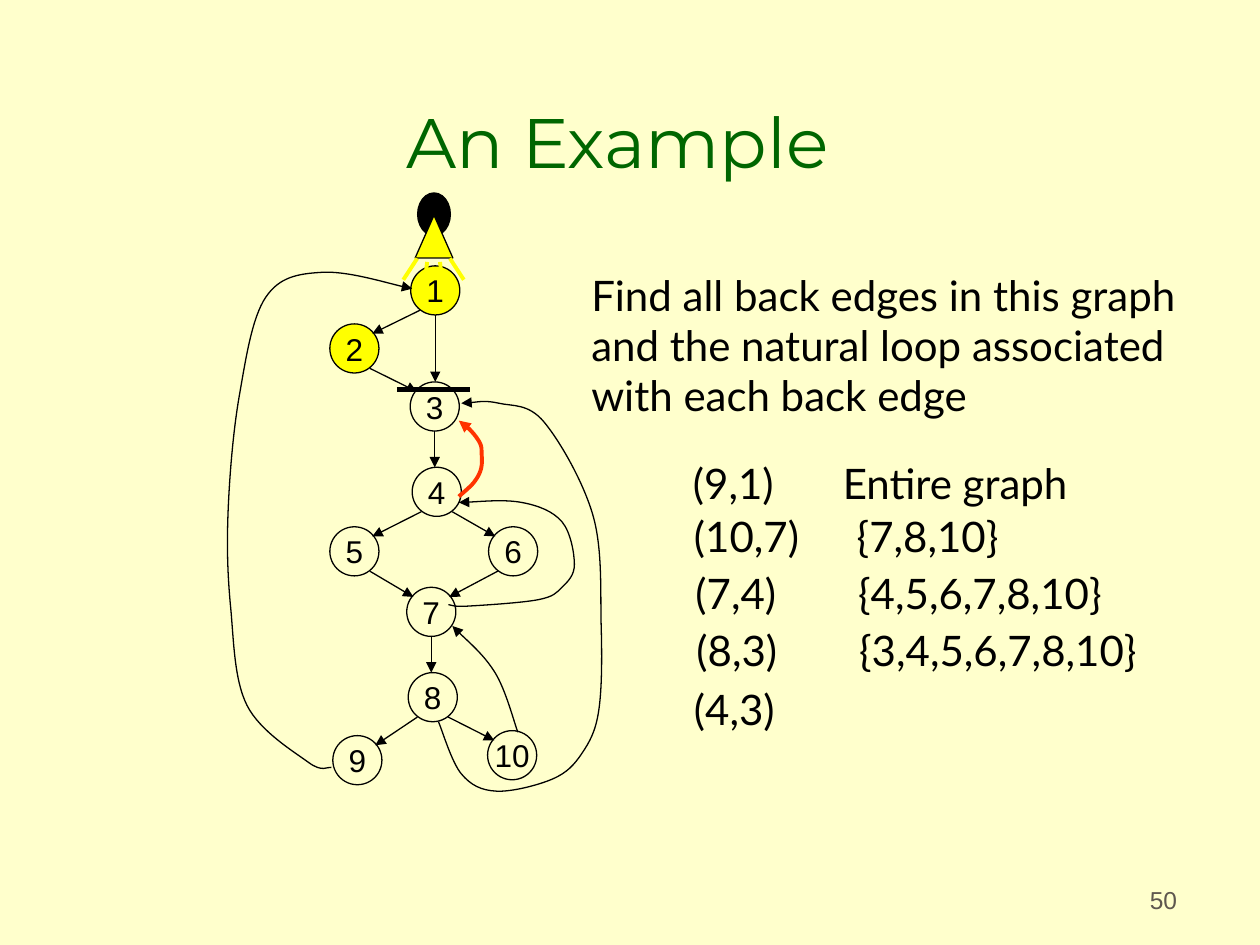
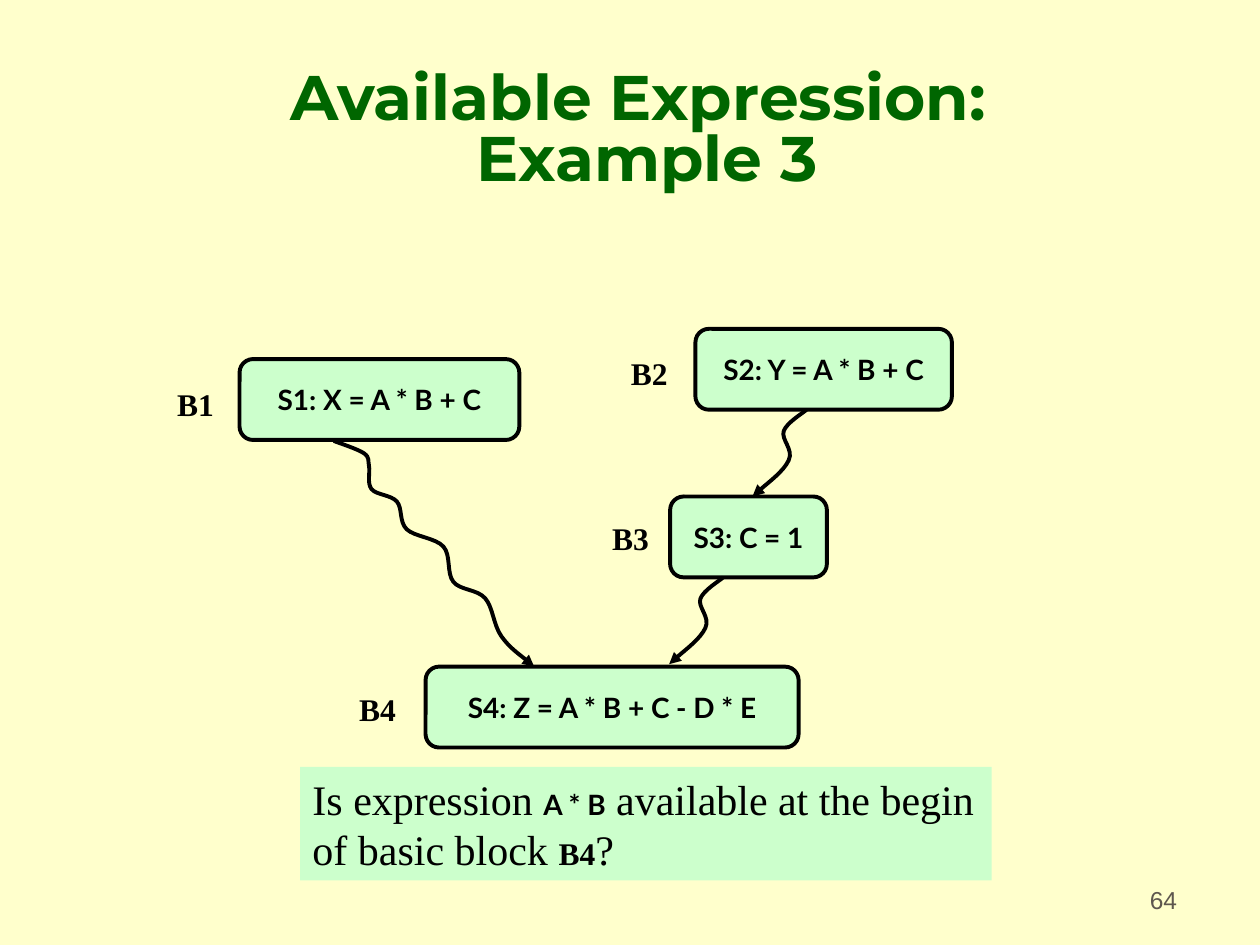
from copy import deepcopy
from dataclasses import dataclass

from lxml.etree import SubElement
from pptx import Presentation
from pptx.dml.color import RGBColor as RGB
from pptx.enum.shapes import MSO_CONNECTOR as CONN, MSO_SHAPE as SHP
from pptx.enum.text import MSO_ANCHOR as ANC, MSO_AUTO_SIZE as FIT, PP_ALIGN as AL
from pptx.oxml.ns import qn
from pptx.util import Cm, Pt


@dataclass(frozen=True)
class Theme:
    paper: RGB = RGB(0xFF, 0xFF, 0xCC)
    green: RGB = RGB(0x00, 0x66, 0x00)
    mint: RGB = RGB(0xCC, 0xFF, 0xCC)
    yellow: RGB = RGB(0xFF, 0xFF, 0x00)
    red: RGB = RGB(0xFF, 0x33, 0x00)
    black: RGB = RGB(0x00, 0x00, 0x00)
    grey: RGB = RGB(0x5E, 0x57, 0x4E)
    thin: float = 0.75
    thick: float = 2.25
    bar: float = 3

    def style(self, name, size, bold=False, color=None):
        return {"name": name, "size": Pt(size), "bold": bold, "color": color or self.black}


T = Theme()
TITLE = T.style("Montserrat", 40, color=T.green)
TITLE_BOLD = T.style("Montserrat", 36, True, T.green)
NUMBER = T.style("Arial", 14, color=T.grey)
NODE = T.style("Arial", 18)
BODY = T.style("Lato", 24)
CODE = T.style("Lato", 16, True)
QUESTION = T.style("Times New Roman", 24)
LABEL = T.style("Times New Roman", 18, True)

NODE_SIZE = 0.99
NODES = {
    "1": (8.28, 5.36), "2": (6.65, 6.53), "3": (8.27, 7.7), "4": (8.31, 9.42),
    "5": (6.65, 10.62), "6": (9.85, 10.62), "7": (8.2, 11.84), "8": (8.23, 13.56),
    "9": (6.71, 14.83), "10": (9.83, 14.73),
}
VISITED = {"1", "2"}
FORWARD_EDGES = ["1-2", "1-3", "2-3", "3-4", "4-5", "4-6", "5-7", "6-7", "7-8", "8-9", "8-10"]
BACK_EDGES = {
    "7-4": [(9.04, 12.19), (9.42, 12.22), (10.85, 12.09), (11.33, 11.84), (11.58, 11.38),
            (11.33, 10.52), (10.52, 10.13), (9.25, 10.13)],
    "8-3": [(8.84, 14.55), (9.3, 15.6), (10.01, 15.95), (11.15, 15.7), (11.73, 15.19),
            (12.07, 14.33), (12.12, 12.62), (11.96, 10.41), (10.97, 8.51), (10.06, 8.13),
            (9.3, 8.13)],
    "10-7": [(10.44, 14.76), (9.98, 13.56), (9.12, 12.62)],
    "9-1": [(6.68, 15.47), (6.22, 15.37), (4.98, 14.22), (4.65, 12.24), (4.6, 10.29),
            (4.83, 7.95), (5.36, 5.99), (6.5, 5.49), (8.31, 5.82)],
}
EDGE_4_3 = [(9.25, 10.01), (9.55, 9.73), (9.7, 9.45), (9.71, 9.14), (9.68, 8.94),
            (9.5, 8.69), (9.25, 8.48)]
ANSWERS = [
    ("(9,1)", 13.72, 2.21, 9.09), ("Entire graph", 16.74, 5.46, 9.09),
    ("(10,7)", 13.74, 2.69, 10.16), ("{7,8,10}", 17.02, 3.53, 10.16),
    ("(7,4)", 13.77, 2.21, 11.32), ("{4,5,6,7,8,10}", 17.05, 5.66, 11.32),
    ("(8,3)", 13.79, 2.21, 12.46), ("{3,4,5,6,7,8,10}", 17.07, 6.38, 12.46),
    ("(4,3)", 13.74, 2.21, 13.65),
]
BLOCKS = [
    ("B1", (3.32, 7.63), "S1: X = A * B + C", (4.83, 7.24, 5.64)),
    ("B4", (6.99, 13.79), "S4: Z = A * B + C - D * E", (8.58, 13.44, 7.52)),
    ("B2", (12.47, 7.02), "S2: Y = A * B + C", (14.02, 6.63, 5.17)),
    ("B3", (12.09, 10.34), "S3: C = 1", (13.51, 10.01, 3.16)),
]
LONG_PATH = [(6.73, 8.89), (7.34, 9.14), (7.44, 9.4), (7.49, 9.86), (8, 10.11), (8.2, 10.67),
             (8.94, 11.02), (9.14, 11.73), (9.78, 12.06), (10.11, 12.83), (10.77, 13.44)]
SQUIGGLE = [(0, 0), (-0.46, 0.43), (-0.36, 1.02), (-1.09, 1.75)]
SQUIGGLE_STARTS = [(16.26, 8.26), (14.58, 11.64)]


def set_font(font, style):
    for key, value in style.items():
        if key == "color":
            font.color.rgb = value
        else:
            setattr(font, key, value)


def fill_text(tf, paragraphs, align=AL.LEFT, **frame):
    for key, value in frame.items():
        setattr(tf, key, value)
    for i, runs in enumerate(paragraphs):
        p = tf.add_paragraph() if i else tf.paragraphs[0]
        p.alignment = align
        for text, style in runs:
            r = p.add_run()
            r.text = text
            set_font(r.font, style)


def add_text(s, box, paragraphs):
    tb = s.shapes.add_textbox(*map(Cm, box))
    fill_text(tb.text_frame, paragraphs, word_wrap=False, auto_size=FIT.SHAPE_TO_FIT_TEXT)
    return tb


def add_shape(s, kind, box, fill=None, width=T.thin, text="", style=NODE):
    sp = s.shapes.add_shape(kind, *map(Cm, box))
    sp.shadow.inherit = False
    if fill is None:
        sp.fill.background()
    else:
        sp.fill.solid()
        sp.fill.fore_color.rgb = fill
    set_line(sp, T.black, width)
    if text:
        fill_text(sp.text_frame, [[(text, style)]], AL.CENTER,
                  word_wrap=False, vertical_anchor=ANC.MIDDLE)


def set_line(sp, color, width, arrow=False):
    sp.line.color.rgb = color
    sp.line.width = Pt(width)
    if arrow:
        SubElement(sp.line._get_or_add_ln(), qn("a:tailEnd"), type="triangle")


def add_line(s, start, end, color=T.black, width=T.thin, arrow=False):
    c = s.shapes.add_connector(CONN.STRAIGHT, *map(Cm, (*start, *end)))
    set_line(c, color, width, arrow)
    SubElement(c._element.spPr, qn("a:effectLst"))


def bend(sp):
    path = next(sp._element.iter(qn("a:path")))
    knots = [(int(pt.get("x")), int(pt.get("y"))) for pt in path.iter(qn("a:pt"))]
    ends = [knots[0], *knots, knots[-1]]
    for line, quad in zip(path.findall(qn("a:lnTo")), zip(ends, ends[1:], ends[2:], ends[3:])):
        path.remove(line)
        curve = SubElement(path, qn("a:cubicBezTo"))
        controls = [(b + (c - a) / 6, c - (d - b) / 6, c) for a, b, c, d in zip(*quad)]
        for x, y in zip(*controls):
            SubElement(curve, qn("a:pt"), x=str(round(x)), y=str(round(y)))


def add_curve(s, knots, color=T.black, width=T.thin):
    first, *rest = [(Cm(x), Cm(y)) for x, y in knots]
    builder = s.shapes.build_freeform(*first)
    builder.add_line_segments(rest, close=False)
    sp = builder.convert_to_shape()
    bend(sp)
    sp.shadow.inherit = False
    sp.fill.background()
    set_line(sp, color, width, arrow=True)


def add_forward_edge(s, edge):
    (x1, y1), (x2, y2) = [(x + NODE_SIZE / 2, y + NODE_SIZE / 2)
                          for x, y in map(NODES.get, edge.split("-"))]
    if abs(x2 - x1) < 0.5:
        start, end = (x1, y1 + NODE_SIZE / 2), (x1, y2 - NODE_SIZE / 2)
    else:
        side = 1 if x2 > x1 else -1
        start, end = (x1 + side * 0.31, y1 + 0.4), (x2 - side * 0.36, y2 - 0.3)
    add_line(s, start, end, arrow=True)


def add_slide(prs, title, style, box, number, spacing=None):
    s = prs.slides.add_slide(prs.slide_layouts[5])
    ph = s.shapes.title
    for key, value in zip(("left", "top", "width", "height"), box):
        setattr(ph, key, Cm(value))
    tf = ph.text_frame
    tf.text = title
    tf.auto_size, tf.vertical_anchor = FIT.NONE, ANC.BOTTOM
    p = tf.paragraphs[0]
    p.alignment, p.line_spacing = AL.CENTER, spacing
    for r in p.runs:
        set_font(r.font, style)
    for br in p._p.findall(qn("a:br")):
        br.append(deepcopy(p.runs[0]._r.rPr))
    tb = s.shapes.add_textbox(*map(Cm, (18.7, 17.29, 5.28, 1.27)))
    fill_text(tb.text_frame, [[(number, NUMBER)]], AL.RIGHT,
              word_wrap=True, vertical_anchor=ANC.BOTTOM)
    return s


def add_lamp(s):
    add_shape(s, SHP.OVAL, (8.42, 3.89, 0.66, 0.86), T.black)
    add_shape(s, SHP.ISOSCELES_TRIANGLE, (8.37, 4.34, 0.76, 0.86), T.yellow)
    mid = 8.74
    for side in (-1, 1):
        for near, far, top in ((0.33, 0.61, 5.21), (0.13, 0.17, 5.28)):
            add_line(s, (mid + side * near, top), (mid + side * far, 5.64), T.yellow, T.thick)


def build_back_edges(prs):
    s = add_slide(prs, "An Example", TITLE, (1.65, 0.63, 21.59, 3.18), "50")
    for name, (x, y) in NODES.items():
        fill = T.yellow if name in VISITED else None
        add_shape(s, SHP.OVAL, (x, y, NODE_SIZE, NODE_SIZE), fill, text=name)
    for edge in FORWARD_EDGES:
        add_forward_edge(s, edge)
    for knots in BACK_EDGES.values():
        add_curve(s, knots)
    task = ("Find all back edges in this graph", "and the natural loop associated",
            "with each back edge")
    add_text(s, (11.67, 5.3, 13.28, 3.3), [[(line, BODY)] for line in task])
    for text, x, width, y in ANSWERS:
        add_text(s, (x, y, width, 1.27), [[(text, BODY)]])
    add_curve(s, EDGE_4_3, T.red, T.thick)
    add_line(s, (8, 7.85), (9.48, 7.85), width=T.bar)
    add_lamp(s)


def build_available_expression(prs):
    s = add_slide(prs, "Available Expression: \vExample 3", TITLE_BOLD,
                  (1.58, 0.85, 22.94, 3.18), "64", 0.8)
    for label, (label_x, label_y), code, (x, y, width) in BLOCKS:
        add_shape(s, SHP.ROUNDED_RECTANGLE, (x, y, width, 1.63), T.mint, T.thick, code, CODE)
        add_text(s, (label_x, label_y, 1.3, 1.02), [[(label, LABEL)]])
    add_curve(s, LONG_PATH, width=T.thick)
    for x, y in SQUIGGLE_STARTS:
        add_curve(s, [(x + dx, y + dy) for dx, dy in SQUIGGLE], width=T.thick)
    question = add_text(s, (6.05, 15.46, 13.94, 2.29), [
        [("Is expression ", QUESTION), ("A * B", CODE), (" available at the begin", QUESTION)],
        [("of basic block ", QUESTION), ("B4", LABEL), ("?", QUESTION)],
    ])
    question.fill.solid()
    question.fill.fore_color.rgb = T.mint


def main():
    prs = Presentation()
    prs.slide_width, prs.slide_height = Cm(25.4), Cm(19.05)
    paper = prs.slide_master.background.fill
    paper.solid()
    paper.fore_color.rgb = T.paper
    build_back_edges(prs)
    build_available_expression(prs)
    prs.save("out.pptx")


if __name__ == "__main__":
    main()
